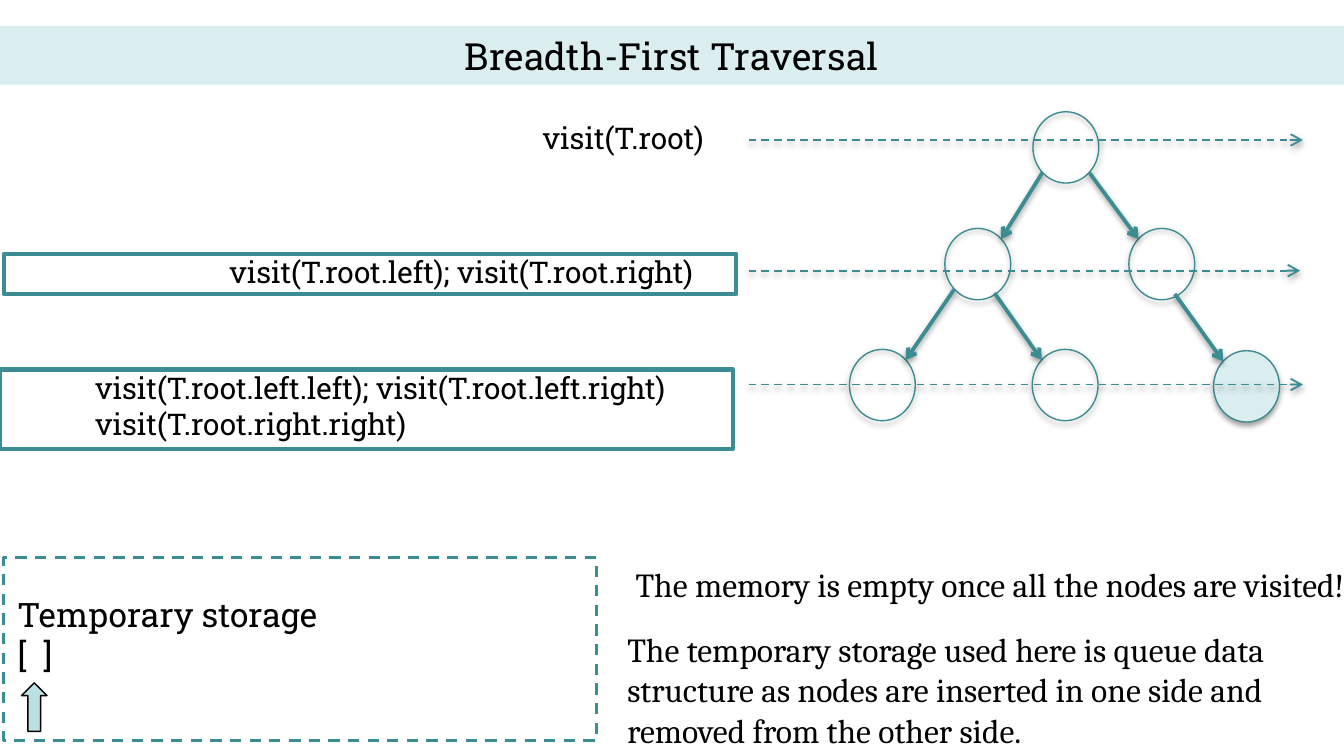
"""Build a slide on breadth-first traversal of a binary tree."""
from lxml import etree
from pptx import Presentation
from pptx import util as u
from pptx.dml.color import RGBColor
from pptx.enum import dml, shapes, text
from pptx.oxml import ns

TEAL, PALE, SKY, BLACK = "3C8C93", "DAEDEF", "BBE0E3", "000000"
SLAB, SERIF = "Roboto Slab", "Cambria"
NODE_WIDTH, NODE_HEIGHT = 35.3, 38.2
SITE = (12.5, 13.4)


def rgb(value):
    return RGBColor.from_string(value)


def add_child(parent, tag, **attributes):
    return etree.SubElement(parent, ns.qn(tag), **attributes)


class Canvas:
    def __init__(self, slide):
        self.slide = slide

    def style_line(self, line, colour, width, dashed=False):
        line.color.rgb = rgb(colour)
        line.width = u.Pt(width)
        if dashed:
            line.dash_style = dml.MSO_LINE.DASH

    def cast_shadow(self, item):
        effects = add_child(item.element.spPr, "a:effectLst")
        shadow = add_child(effects, "a:outerShdw", blurRad=str(u.Pt(3.1)),
                           dist=str(u.Pt(1.6)), dir="5400000", rotWithShape="0")
        colour = add_child(shadow, "a:srgbClr", val=BLACK)
        add_child(colour, "a:alpha", val="38000")

    def shape(self, kind, frame, fill=None, line=None, width=0.75,
              dashed=False, shadow=False):
        box = self.slide.shapes.add_shape(kind, *map(u.Pt, frame))
        if fill:
            box.fill.solid()
            box.fill.fore_color.rgb = rgb(fill)
        else:
            box.fill.background()
        if line:
            self.style_line(box.line, line, width, dashed)
        else:
            box.line.fill.background()
        if shadow:
            self.cast_shadow(box)
        else:
            box.shadow.inherit = False
        return box

    def rect(self, frame, **style):
        return self.shape(shapes.MSO_SHAPE.RECTANGLE, frame, **style)

    def node(self, centre, fill=None):
        x, y = centre
        frame = (x - NODE_WIDTH / 2, y - NODE_HEIGHT / 2, NODE_WIDTH, NODE_HEIGHT)
        return self.shape(shapes.MSO_SHAPE.OVAL, frame, fill, TEAL, shadow=True)

    def arrow(self, start, end, width, dashed=False):
        link = self.slide.shapes.add_connector(
            shapes.MSO_CONNECTOR.STRAIGHT, *map(u.Pt, (*start, *end)))
        self.style_line(link.line, TEAL, width, dashed)
        add_child(link.element.spPr.find(ns.qn("a:ln")), "a:tailEnd", type="arrow")
        self.cast_shadow(link)

    def set_text(self, box, lines, font, size, align=text.PP_ALIGN.LEFT, wrap=True):
        box.text_frame.text = "\n".join(lines)
        box.text_frame.word_wrap = wrap
        box.text_frame.auto_size = text.MSO_AUTO_SIZE.SHAPE_TO_FIT_TEXT
        for para in box.text_frame.paragraphs:
            para.alignment = align
            for span in para.runs:
                span.font.name = font
                span.font.size = u.Pt(size)
                span.font.color.rgb = rgb(BLACK)

    def label(self, frame, lines, font, size, **layout):
        box = self.slide.shapes.add_textbox(*map(u.Pt, frame))
        self.set_text(box, lines, font, size, **layout)


def draw_tree(canvas):
    centres = {
        "root": (571, 79),
        "left": (523.8, 141.5), "right": (622.4, 141.5),
        "left.left": (472.7, 206.3), "left.right": (570.6, 206.3),
        "right.right": (667.8, 207),
    }
    edges = [
        ("root", "left", SITE), ("root", "right", SITE),
        ("left", "left.left", SITE), ("left", "left.right", (9, 15.5)),
        ("right", "right.right", (7, 16)),
    ]
    for name, centre in centres.items():
        canvas.node(centre, PALE if name == "right.right" else None)
    for parent, child, (dx, dy) in edges:
        (x1, y1), (x2, y2) = centres[parent], centres[child]
        side = 1 if x2 > x1 else -1
        canvas.arrow((x1 + side * dx, y1 + dy),
                     (x2 - side * SITE[0], y2 - SITE[1]), 2)
    for y, end in ((75, 698), (145, 696.5), (206, 698)):
        canvas.arrow((401, y), (end, y), 1, dashed=True)


def main():
    deck = Presentation()
    deck.slide_width, deck.slide_height = u.Pt(720), u.Pt(405)
    canvas = Canvas(deck.slides.add_slide(deck.slide_layouts[6]))

    title = canvas.rect((0, 13.9, 720, 31.5), fill=PALE)
    canvas.set_text(title, ["Breadth-First Traversal"], SLAB, 20,
                    align=text.PP_ALIGN.CENTER)

    canvas.rect((2, 136, 392.5, 21.6), line=TEAL, width=2.25)
    canvas.rect((0, 198, 392.5, 42.5), line=TEAL, width=2.25)
    canvas.rect((2, 298.8, 317.5, 98), line=TEAL, width=1.5, dashed=True)
    canvas.label((283.7, 60.5, 103.7, 26.6), ["visit(T.root)"], SLAB, 16, wrap=False)
    canvas.label((108.7, 132.5, 270, 26.6),
                 ["visit(T.root.left); visit(T.root.right)"], SLAB, 16,
                 align=text.PP_ALIGN.RIGHT, wrap=False)
    canvas.label((43.9, 194.4, 332.6, 46),
                 ["visit(T.root.left.left); visit(T.root.left.right)",
                  "visit(T.root.right.right)"], SLAB, 16, wrap=False)

    draw_tree(canvas)

    canvas.label((2.2, 314.6, 177.8, 51), ["Temporary storage", "[  ]"],
                 SLAB, 18, wrap=False)
    canvas.shape(shapes.MSO_SHAPE.UP_ARROW, (11.5, 365.8, 13.7, 26), SKY, BLACK)
    canvas.label((333.4, 298.8, 399, 28.8),
                 ["The memory is empty once all the nodes are visited!"], SERIF, 18)
    canvas.label((329, 333.4, 372.2, 72.7),
                 ["The temporary storage used here is queue data structure as nodes "
                  "are inserted in one side and removed from the other side."],
                 SERIF, 18)

    deck.save("out.pptx")


if __name__ == "__main__":
    main()
